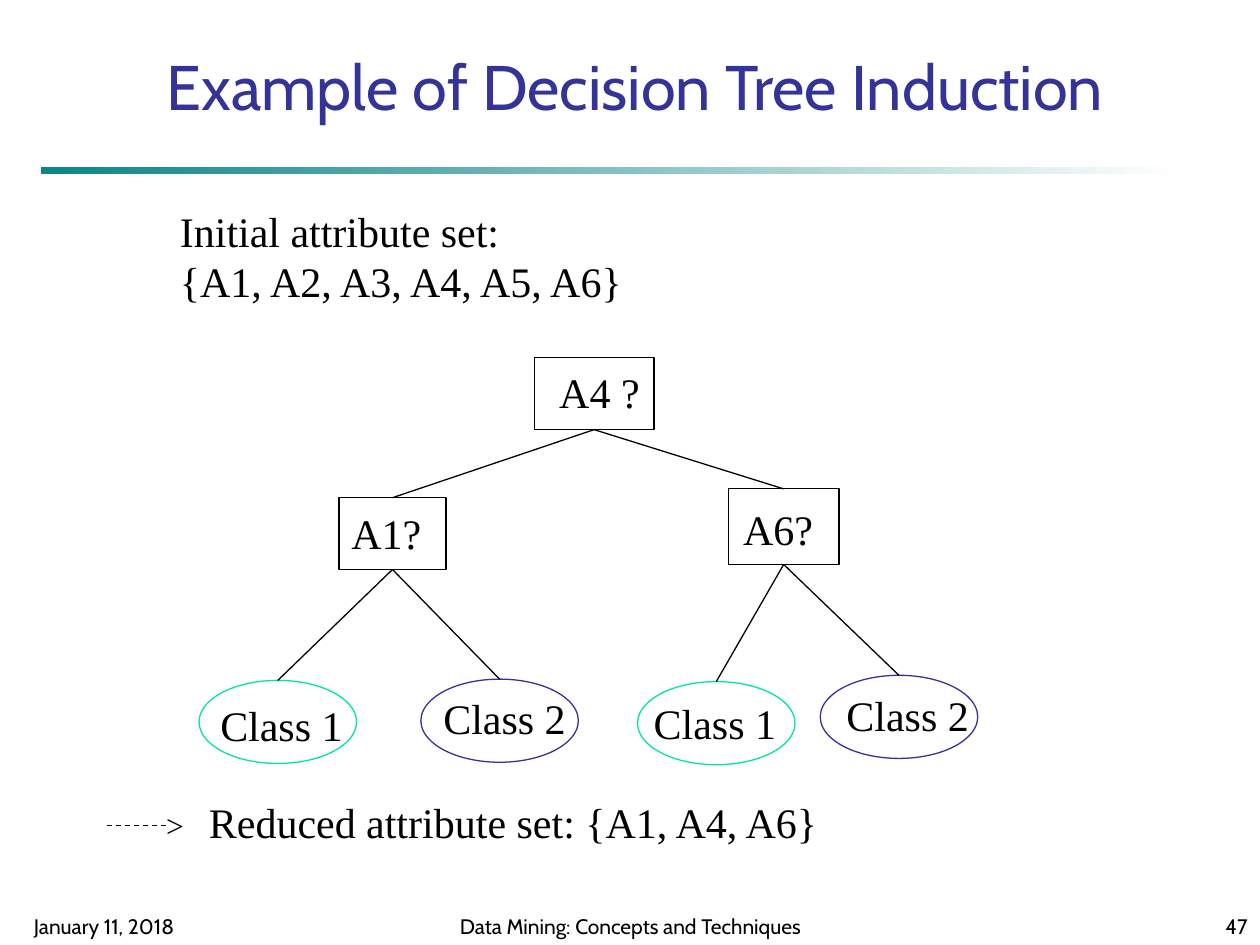
"""Build the decision tree induction slide on a grid of 100 columns by 75 rows."""
from lxml.etree import SubElement
from pptx import Presentation
from pptx.dml.color import RGBColor
from pptx.enum.dml import MSO_LINE
from pptx.enum.shapes import MSO_CONNECTOR, MSO_SHAPE
from pptx.enum.text import MSO_ANCHOR, PP_ALIGN
from pptx.oxml.ns import qn
from pptx.util import Inches, Pt

COLORS = {"ink": "000000", "title": "333399", "rule": "008080", "paper": "FFFFFF",
          "class 1": "00E4A8", "class 2": "333399"}
SERIF, SANS = "Times New Roman", "Cabin"

prs = Presentation()
prs.slide_width, prs.slide_height = Inches(10), Inches(7.5)
COL, ROW = prs.slide_width / 100, prs.slide_height / 75
slide = prs.slides.add_slide(prs.slide_layouts[6])
shapes = slide.shapes


def grid(left, top, width, height):
    return [int(n * unit) for n, unit in zip((left, top, width, height), (COL, ROW) * 2)]


def add_text(text, area, size=24, font=SERIF, color="ink", align=PP_ALIGN.LEFT,
             wrap=False, anchor=MSO_ANCHOR.TOP):
    box = shapes.add_textbox(*grid(*area))
    frame = box.text_frame
    frame.word_wrap, frame.vertical_anchor = wrap, anchor
    frame.text = text
    for paragraph in frame.paragraphs:
        paragraph.alignment = align
        for run in paragraph.runs:
            run.font.size, run.font.name = Pt(size), font
            run.font.color.rgb = RGBColor.from_string(COLORS[color])
    return box


rule = shapes.add_shape(MSO_SHAPE.RECTANGLE, *grid(3.3, 13.3, 90, 0.5))
rule.shadow.inherit = False
rule.line.fill.background()
rule.fill.gradient()
rule.fill.gradient_angle = 0
for stop, color in zip(rule.fill.gradient_stops, ("rule", "paper")):
    stop.color.rgb = RGBColor.from_string(COLORS[color])
first_color = next(rule._element.spPr.iter(qn("a:srgbClr")))
SubElement(first_color, qn("a:alpha"), val="95000")

footers = [("January 11, 2018", 1.7, 20.8, PP_ALIGN.LEFT),
           ("Data Mining: Concepts and Techniques", 34.2, 31.7, PP_ALIGN.CENTER),
           ("47", 79.2, 20.8, PP_ALIGN.RIGHT)]
for text, left, width, align in footers:
    add_text(text, (left, 70.8, width, 4.2), 12, SANS, align=align, wrap=True,
             anchor=MSO_ANCHOR.BOTTOM)

add_text("Example of Decision Tree Induction", (8.3, 3.3, 84.2, 7), 36, SANS, "title",
         PP_ALIGN.CENTER, wrap=True)
add_text("Initial attribute set:\n{A1, A2, A3, A4, A5, A6}", (13.3, 15.8, 38, 9))

BOX, OVAL = MSO_SHAPE.RECTANGLE, MSO_SHAPE.OVAL
tree = [
    ("A4 ?", BOX, (42.4, 28.4, 9.5, 5.7), (43.4, 28.6, 9.7, 5), "ink", None),
    ("A1?", BOX, (26.9, 39.5, 8.5, 5.7), (26.9, 39.8, 7.6, 5), "ink", 0),
    ("A6?", BOX, (57.8, 38.8, 8.8, 6), (58, 39.5, 7.6, 5), "ink", 0),
    ("Class 1", OVAL, (15.8, 54, 12.5, 6.6), (16.5, 55, 11.7, 5), "class 1", 1),
    ("Class 2", OVAL, (33.4, 53.9, 12.5, 6.6), (34.2, 54.5, 11.7, 5), "class 2", 1),
    ("Class 1", OVAL, (50.6, 54.1, 12.5, 6.6), (50.9, 54.9, 11.7, 5), "class 1", 2),
    ("Class 2", OVAL, (65.1, 53.6, 12.5, 6.6), (66.2, 54.2, 11.7, 5), "class 2", 2),
]
nodes, lines = [], []
for text, outline, area, label_area, color, parent in tree:
    node = shapes.add_shape(outline, *grid(*area))
    node.shadow.inherit = False
    node.fill.background()
    node.line.width = Pt(0.75)
    node.line.color.rgb = RGBColor.from_string(COLORS[color])
    nodes.append(node)
    add_text(text, label_area)
    if parent is not None:
        branch = shapes.add_connector(MSO_CONNECTOR.STRAIGHT, 0, 0, 0, 0)
        branch.begin_connect(nodes[parent], 2)
        branch.end_connect(node, 0)
        lines.append(branch)

start_x, y, end_x, end_y = grid(8.5, 65.5, 13.3, 65.5)
dashes = shapes.add_connector(MSO_CONNECTOR.STRAIGHT, start_x, y, end_x, end_y)
dashes.line.dash_style = MSO_LINE.DASH
for line in lines + [dashes]:
    line.line.width = Pt(0.75)
    line.line.color.rgb = RGBColor.from_string(COLORS["ink"])
    SubElement(line._element.spPr, qn("a:effectLst"))
arrow_tip = add_text(">", (12.2, 63.5, 3.4, 4), 18)
shapes.add_group_shape([dashes, arrow_tip])
add_text("Reduced attribute set: {A1, A4, A6}", (15.6, 62.7, 51.5, 5))

prs.save("out.pptx")
